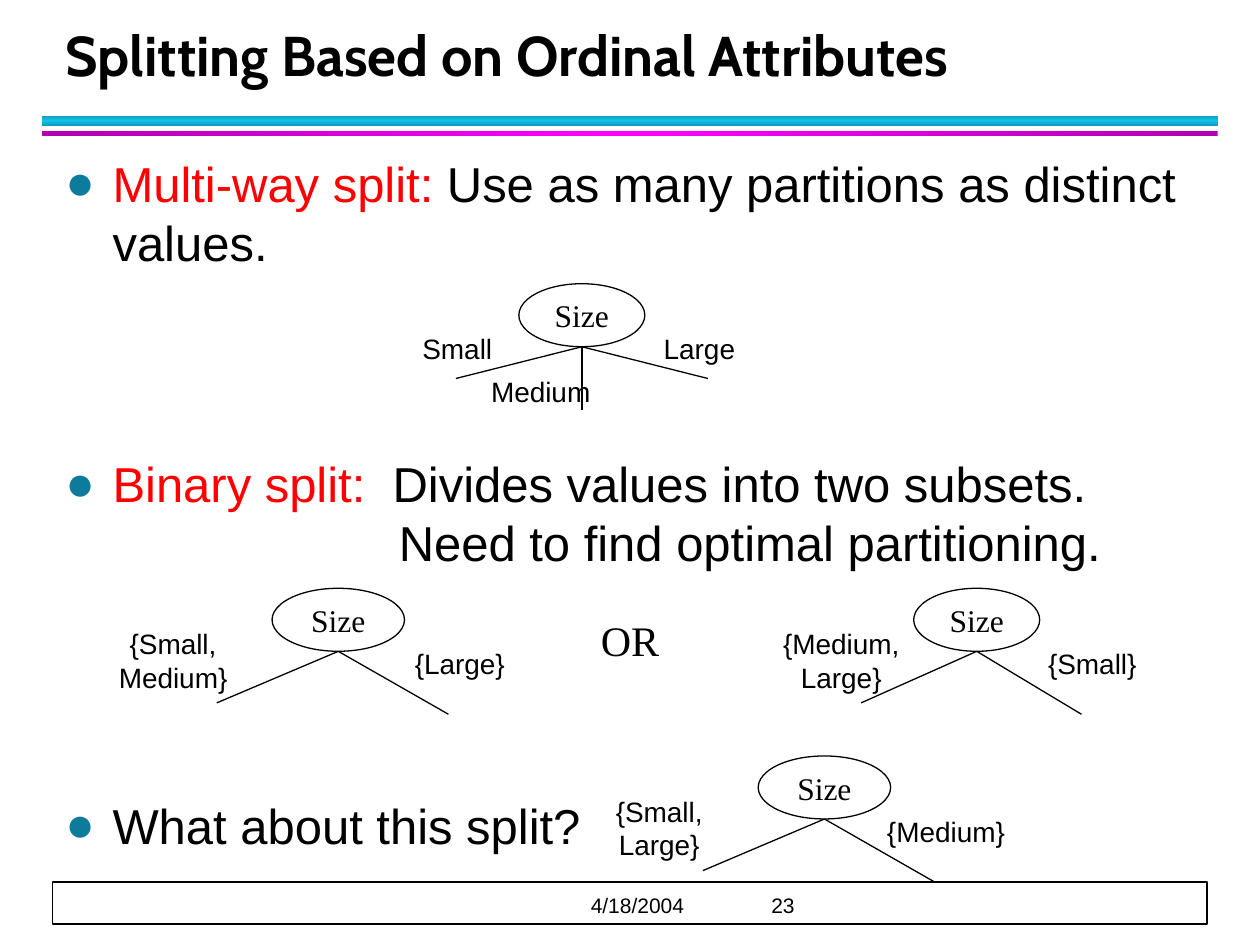
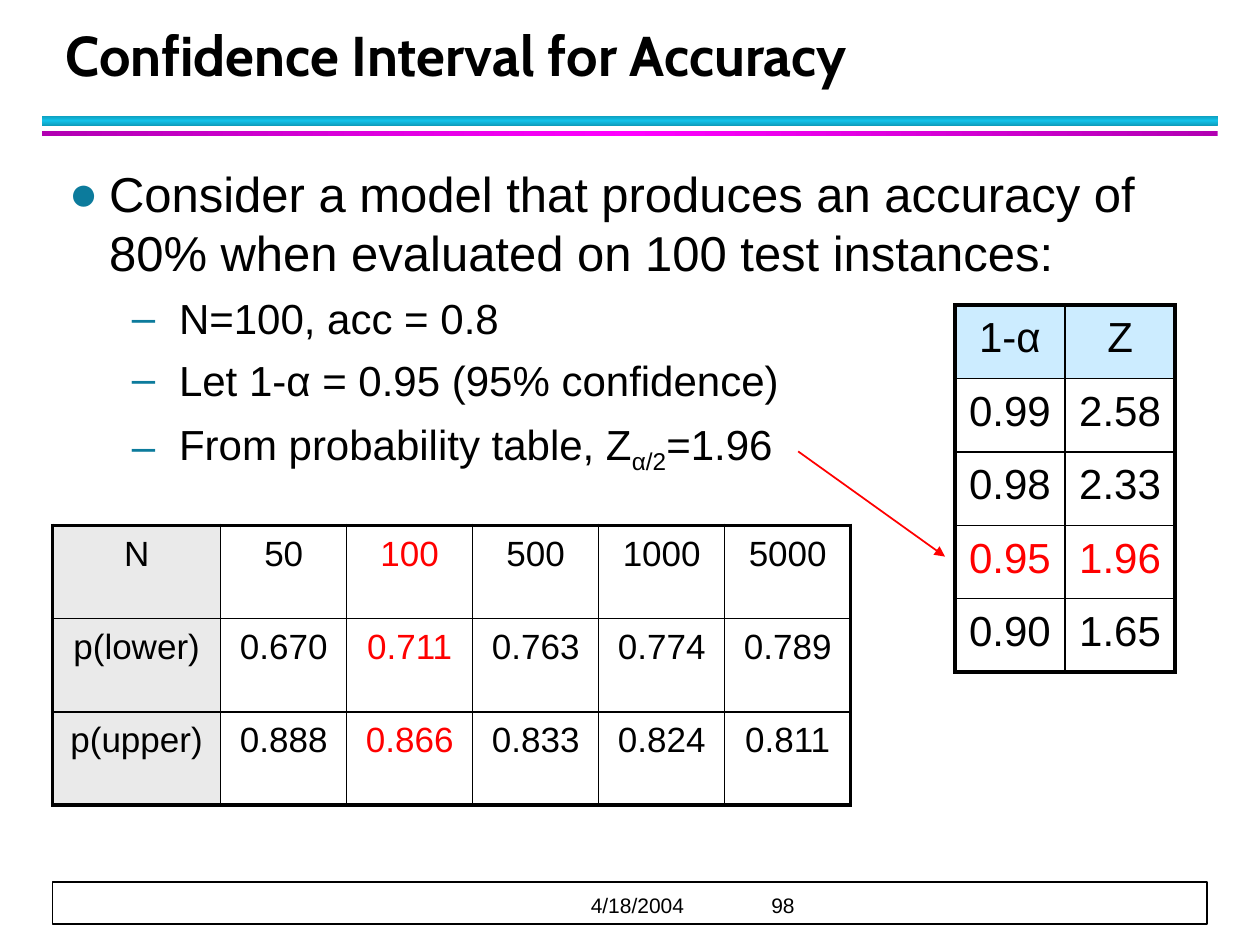
from lxml import etree
from pptx import Presentation
from pptx import util as u
from pptx.dml.color import RGBColor
from pptx.enum import shapes, text
from pptx.oxml.ns import qn

HUE = {
    "ink": "000000", "paper": "FFFFFF", "hot": "FF0000", "mark": "0C7B9C",
    "teal": "0E9BBA", "aqua": "12C2E9", "plum": "B200B2", "pink": "FF00FF",
    "sky": "CCECFF", "gray": "EAEAEA",
}
SANS, SERIF, HEAD = "Arial", "Times New Roman", "Cabin"
MID = text.PP_ALIGN.CENTER
OVAL, RECT = shapes.MSO_SHAPE.OVAL, shapes.MSO_SHAPE.RECTANGLE
DATE = "4/18/2004"


def rgb(name):
    return RGBColor.from_string(HUE[name])


def box(*sides):
    return [u.Cm(side) for side in sides]


def child(node, tag, **attrs):
    return etree.SubElement(node, qn(tag), **attrs)


def paint(node, name):
    """Add a solid fill to an XML line node."""
    child(child(node, "a:solidFill"), "a:srgbClr", val=HUE[name])


def write(frame, runs, size=28, font=SANS, color="ink", bold=False, align=None,
          lead=None, before=0, left=0, hang=0, mark=None):
    """Add a paragraph; runs is a string or a list of (text, color, baseline)."""
    para = frame.paragraphs[0] if not frame.text else frame.add_paragraph()
    para.alignment = align
    para.line_spacing = u.Pt(lead or 1.2 * size)
    para.space_before = u.Pt(before)
    props = para._p.get_or_add_pPr()
    props.set("marL", str(u.Cm(left)))
    props.set("indent", str(-u.Cm(hang)))
    if mark:
        child(child(props, "a:buClr"), "a:srgbClr", val=HUE["mark"])
        child(props, "a:buFont", typeface=SANS)
        child(props, "a:buChar", char=mark)
    if isinstance(runs, str):
        runs = [(runs, color, 0)]
    for words, tint, base in runs:
        run = para.add_run()
        run.text = words
        face = run.font
        face.name, face.size, face.bold = font, u.Pt(size), bold
        face.color.rgb = rgb(tint)
        if base:
            face._rPr.set("baseline", str(base * 1000))


def panel(slide, sides, anchor=text.MSO_ANCHOR.TOP, inset=True):
    frame = slide.shapes.add_textbox(*box(*sides)).text_frame
    frame.word_wrap = True
    frame.vertical_anchor = anchor
    if not inset:
        frame.margin_left = frame.margin_right = 0
        frame.margin_top = frame.margin_bottom = 0
    return frame


def shape(slide, kind, sides, line=None):
    form = slide.shapes.add_shape(kind, *box(*sides))
    form.shadow.inherit = False
    form.fill.solid()
    form.fill.fore_color.rgb = rgb("paper")
    if line:
        form.line.color.rgb = rgb("ink")
        form.line.width = u.Pt(line)
    else:
        form.line.fill.background()
    return form


def band(slide, sides, edge, core, angle):
    """Draw a bar that fades from edge to core and back."""
    form = shape(slide, RECT, sides)
    form.fill.gradient()
    form.fill.gradient_angle = angle
    stops = form.element.spPr.find(qn("a:gradFill")).find(qn("a:gsLst"))
    for stop in list(stops):
        stops.remove(stop)
    for spot, name in ((0, edge), (50, core), (100, edge)):
        stop = child(stops, "a:gs", pos=str(spot * 1000))
        child(stop, "a:srgbClr", val=HUE[name])


def line(slide, start, end, color="ink", width=0.75, arrow=False):
    link = slide.shapes.add_connector(
        shapes.MSO_CONNECTOR.STRAIGHT, *box(*start, *end))
    link.line.color.rgb = rgb(color)
    link.line.width = u.Pt(width)
    if arrow:
        child(link.line._get_or_add_ln(), "a:tailEnd", type="triangle")
    child(link.element.spPr, "a:effectLst")


def label(slide, words, x, y, size=16, font=SANS):
    """Centre a small caption on a point."""
    frame = panel(slide, (x - 1.6, y - 0.8, 3.2, 1.6), text.MSO_ANCHOR.MIDDLE)
    for row, part in enumerate(words.split("\n")):
        write(frame, part, size=size, font=font, align=MID)


def tree(slide, x, y, width, ends, notes):
    """Draw a Size node; ends are offsets from its foot, notes from its top."""
    high = 1.27
    node = shape(slide, OVAL, (x - width / 2, y, width, high), 0.75)
    node.text_frame.vertical_anchor = text.MSO_ANCHOR.MIDDLE
    write(node.text_frame, "Size", size=18, font=SERIF, align=MID)
    for dx, dy in ends:
        line(slide, (x, y + high), (x + dx, y + high + dy))
    for words, dx, dy in notes:
        label(slide, words, x + dx, y + dy)


def fork(slide, x, y, width, near, far, shift=-3.33):
    """Draw a two-way tree whose reach follows the node width."""
    rate = width / 2.67
    ends = [(-2.45 * rate, 1.04), (2.22 * rate, 1.27)]
    tree(slide, x, y, width, ends,
         [(near, shift, 1.45), (far, 2.45 * rate, 1.51)])


def edge(cell, outer):
    """Rule a cell; sides named in outer are heavy."""
    props = cell._tc.get_or_add_tcPr()
    for spot, side in enumerate("LRTB"):
        width = u.Pt(2.25 if side in outer else 1)
        rule = etree.Element(qn("a:ln" + side), w=str(width))
        paint(rule, "ink")
        props.insert(spot, rule)


def grid(slide, x, y, wide, high, rows, size, shade, hot):
    """shade and hot take row and column: shade gives a fill, hot a yes or no."""
    last, end = len(rows) - 1, len(wide) - 1
    table = slide.shapes.add_table(
        len(rows), len(wide), *box(x, y, sum(wide), high * len(rows))).table
    table.first_row = table.horz_banding = False
    for col, width in zip(table.columns, wide):
        col.width = u.Cm(width)
    for r, row in enumerate(rows):
        table.rows[r].height = u.Cm(high)
        for c, words in enumerate(row):
            cell = table.cell(r, c)
            cell.fill.solid()
            cell.fill.fore_color.rgb = rgb(shade(r, c))
            write(cell.text_frame, words, size=size, align=MID,
                  color="hot" if hot(r, c) else "ink")
            sides = (("L", c == 0), ("R", c == end), ("T", r == 0), ("B", r == last))
            edge(cell, [side for side, on in sides if on])


def start(deck, title, page):
    """Add a slide with its bands, footer and title."""
    slide = deck.slides.add_slide(deck.slide_layouts[6])
    band(slide, (0.85, 2.33, 23.7, 0.21), "teal", "aqua", 90)
    band(slide, (0.85, 2.65, 23.7, 0.1), "plum", "pink", 0)
    shape(slide, RECT, (1.06, 17.78, 23.28, 0.85), 1)
    for x, words in ((11.91, DATE), (15.55, page)):
        foot = panel(slide, (x, 17.86, 3, 0.64), text.MSO_ANCHOR.BOTTOM, False)
        write(foot, words, size=12, lead=20)
    head = panel(slide, (1.07, 0.43, 23, 1.47), text.MSO_ANCHOR.BOTTOM)
    write(head, title, size=32, font=HEAD, bold=True, lead=36)
    return slide


def splits(deck):
    slide = start(deck, "Splitting Based on Ordinal Attributes", "23")
    body = panel(slide, (1.07, 2.97, 23.28, 14.6))
    dot = dict(left=0.95, hang=0.95, mark="●")
    write(body, [("Multi-way split:", "hot", 0),
                 (" Use as many partitions as distinct values.", "ink", 0)], **dot)
    write(body, [("Binary split: ", "hot", 0),
                 (" Divides values into two subsets.", "ink", 0)],
          before=104.4, **dot)
    write(body, "Need to find optimal partitioning.", left=6.72)
    write(body, "What about this split?", before=128, **dot)

    tree(slide, 11.73, 5.72, 2.54, [(-2.54, 0.64), (0, 1.27), (2.54, 0.64)],
         [("Small", -2.51, 1.31), ("Medium", -0.83, 2.17), ("Large", 2.37, 1.31)])
    fork(slide, 19.69, 11.86, 2.54, "{Medium,\nLarge}", "{Small}", -2.73)
    fork(slide, 6.82, 11.86, 2.67, "{Small,\nMedium}", "{Large}")
    label(slide, "OR", 12.7, 12.9, size=24, font=SERIF)
    fork(slide, 16.62, 15.24, 2.67, "{Small,\nLarge}", "{Medium}")


def bounds(deck):
    slide = start(deck, "Confidence Interval for Accuracy", "98")
    body = panel(slide, (1.14, 3.18, 23.1, 14.4))
    write(body, "Consider a model that produces an accuracy of 80% "
          "when evaluated on 100 test instances:", left=0.81, hang=0.81, mark="●")
    dash = dict(size=24, left=2.22, hang=0.95, mark="–")
    for words in ("N=100, acc = 0.8", "Let 1-α = 0.95 (95% confidence)"):
        write(body, words, before=6.4, **dash)
    write(body, [("From probability table, Z", "ink", 0), ("α/2", "ink", -25),
                 ("=1.96", "ink", 0)], before=6.8, lead=33.6, **dash)

    scores = [("1-α", "Z"), ("0.99", "2.58"), ("0.98", "2.33"),
              ("0.95", "1.96"), ("0.90", "1.65")]
    grid(slide, 19.25, 6.15, [2.22] * 2, 1.48, scores, 24,
         lambda r, c: "paper" if r else "sky", lambda r, c: r == 3)
    line(slide, (16.09, 9.1), (19.05, 11.22), "hot", 1, arrow=True)
    limits = [("N", "50", "100", "500", "1000", "5000"),
              ("p(lower)", "0.670", "0.711", "0.763", "0.774", "0.789"),
              ("p(upper)", "0.888", "0.866", "0.833", "0.824", "0.811")]
    grid(slide, 1.06, 10.59, [3.39] + [2.54] * 5, 1.88, limits, 20,
         lambda r, c: "paper" if c else "gray", lambda r, c: c == 2)


def main():
    deck = Presentation()
    deck.slide_width, deck.slide_height = box(25.4, 19.05)
    splits(deck)
    bounds(deck)
    deck.save("out.pptx")


if __name__ == "__main__":
    main()
